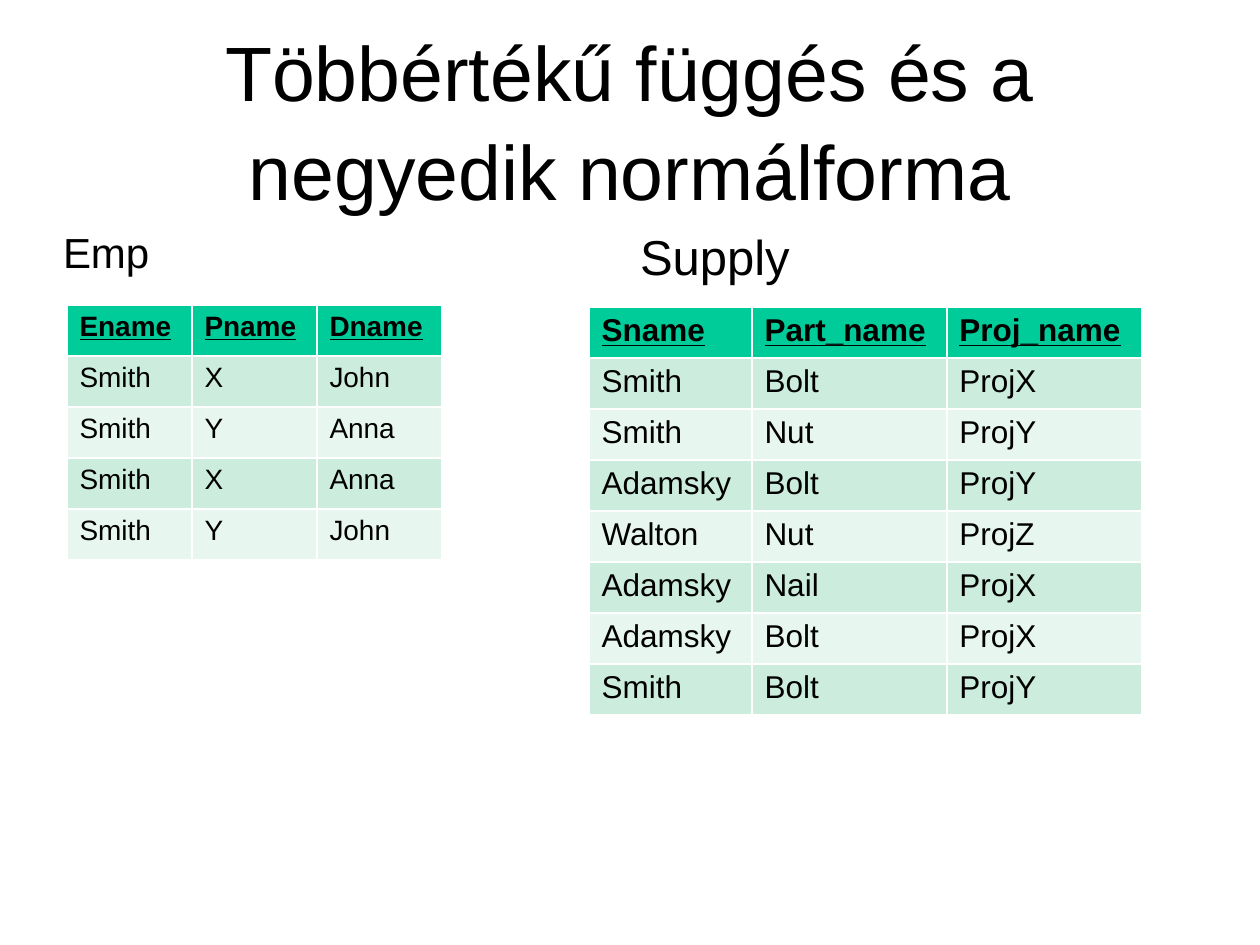
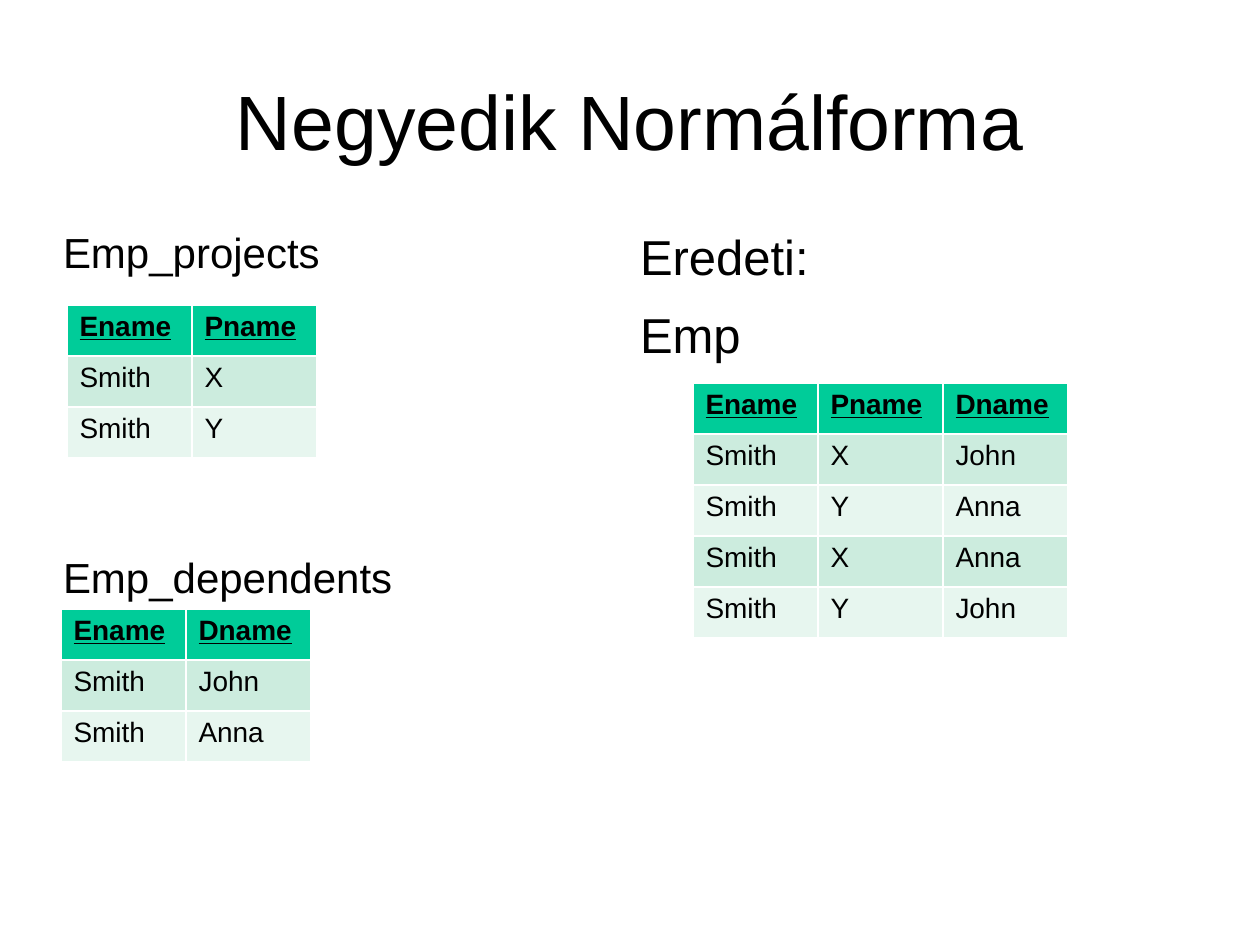
from pptx import Presentation
from pptx.dml.color import RGBColor
from pptx.enum.text import MSO_ANCHOR as Anchor, MSO_AUTO_SIZE as AutoSize, PP_ALIGN as Align
from pptx.oxml.ns import qn
from pptx.util import Pt
from lxml.etree import SubElement

EMU_PER_PX = 914400 / 126
COLORS = {"text": "000000", "header": "00CC99", "odd": "CCECDE", "even": "E7F6EF"}
FONT = "Arial"
LINE_SPACING = 1.08
ROW_HEIGHT = 51
EMP_COLUMN = 125

EMP_HEADER = ["Ename", "Pname", "Dname"]
EMP_ROWS = [
    ["Smith", "X", "John"],
    ["Smith", "Y", "Anna"],
    ["Smith", "X", "Anna"],
    ["Smith", "Y", "John"],
]
SUPPLY = [
    ["Sname", "Part_name", "Proj_name"],
    ["Smith", "Bolt", "ProjX"],
    ["Smith", "Nut", "ProjY"],
    ["Adamsky", "Bolt", "ProjY"],
    ["Walton", "Nut", "ProjZ"],
    ["Adamsky", "Nail", "ProjX"],
    ["Adamsky", "Bolt", "ProjX"],
    ["Smith", "Bolt", "ProjY"],
]
EMP = [EMP_HEADER, *EMP_ROWS]
EMP_PROJECTS = [row[:2] for row in EMP[:3]]
EMP_DEPENDENTS = [[row[0], row[2]] for row in EMP[:3]]


def px(length):
    return round(length * EMU_PER_PX)


def color(name):
    return RGBColor.from_string(COLORS[name])


class Deck:
    def __init__(self):
        self.presentation = Presentation()
        self.presentation.slide_width = px(1260)
        self.presentation.slide_height = px(945)
        self.slide = None

    def add_slide(self, title):
        layout = self.presentation.slide_layouts[3]
        self.slide = self.presentation.slides.add_slide(layout)
        frame = self.place(0, 63, 38, 1134, 157)
        frame.vertical_anchor = Anchor.MIDDLE
        paragraph = frame.paragraphs[0]
        paragraph.alignment = Align.CENTER
        paragraph.line_spacing = LINE_SPACING
        self.add_run(paragraph, title, 44)

    def place(self, index, left, top, width, height):
        shape = self.slide.placeholders[index]
        shape.left, shape.top = px(left), px(top)
        shape.width, shape.height = px(width), px(height)
        frame = shape.text_frame
        frame.margin_left = frame.margin_right = 0
        frame.margin_top = frame.margin_bottom = 0
        frame.word_wrap = True
        frame.auto_size = AutoSize.NONE
        return frame

    def add_run(self, paragraph, text, size, header=False):
        run = paragraph.add_run()
        run.text = text
        font = run.font
        font.name, font.size = FONT, Pt(size)
        font.bold = font.underline = header
        font.color.rgb = color("text")

    def add_labels(self, index, left, labels, size, gap=8):
        frame = self.place(index, left, 222, 556, 624)
        for position, label in enumerate(labels):
            paragraph = frame.add_paragraph() if position else frame.paragraphs[0]
            paragraph.space_before = Pt(gap if position else 8)
            paragraph.line_spacing = LINE_SPACING
            properties = paragraph._p.get_or_add_pPr()
            properties.set("marL", "0")
            properties.set("indent", "0")
            SubElement(properties, qn("a:buNone"))
            self.add_run(paragraph, label, size)

    def add_left_labels(self, *labels):
        self.add_labels(1, 63, labels, 24, gap=155)

    def add_right_labels(self, *labels):
        self.add_labels(2, 640, labels, 28)

    def add_table(self, left, top, rows, widths=None, size=16):
        widths = widths or [EMP_COLUMN] * len(rows[0])
        shape = self.slide.shapes.add_table(
            len(rows), len(widths), px(left), px(top),
            px(sum(widths)), px(ROW_HEIGHT * len(rows)))
        table = shape.table
        for column, width in zip(table.columns, widths):
            column.width = px(width)
        for row_index, row in enumerate(rows):
            header = row_index == 0
            fill = "header" if header else "odd" if row_index % 2 else "even"
            for column_index, text in enumerate(row):
                cell = table.cell(row_index, column_index)
                cell.fill.solid()
                cell.fill.fore_color.rgb = color(fill)
                self.add_run(cell.text_frame.paragraphs[0], text, size, header)


def main():
    deck = Deck()

    deck.add_slide("Többértékű függés és a negyedik normálforma")
    deck.add_left_labels("Emp")
    deck.add_right_labels("Supply")
    deck.add_table(67, 305, EMP)
    deck.add_table(589, 307, SUPPLY, [163, 195, 195], 18)

    deck.add_slide("Negyedik Normálforma")
    deck.add_left_labels("Emp_projects", "Emp_dependents")
    deck.add_right_labels("Eredeti:", "Emp")
    deck.add_table(67, 305, EMP_PROJECTS)
    deck.add_table(61, 609, EMP_DEPENDENTS)
    deck.add_table(693, 383, EMP)

    deck.presentation.save("out.pptx")


if __name__ == "__main__":
    main()
